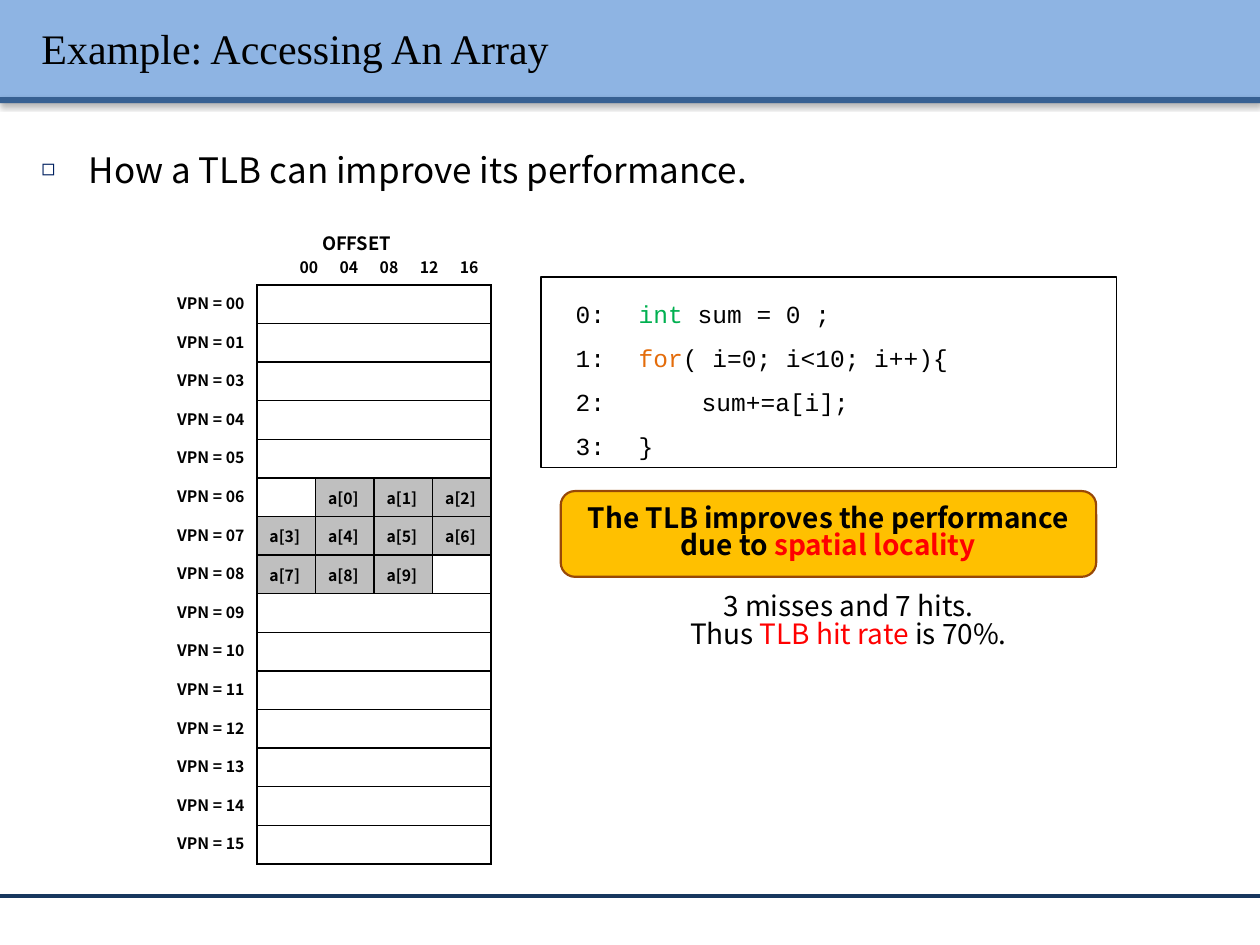
import pptx
import pptx.util
import pptx.dml.color
import pptx.enum.dml
import pptx.enum.shapes
import pptx.enum.text
import pptx.oxml
from pptx.oxml.ns import qn
from lxml import etree

Pt = pptx.util.Pt
RGB = pptx.dml.color.RGBColor
ALIGN = pptx.enum.text.PP_ALIGN
MIDDLE = pptx.enum.text.MSO_ANCHOR.MIDDLE
SHAPE = pptx.enum.shapes.MSO_SHAPE

# Colours and fonts
BLACK, WHITE = RGB(0, 0, 0), RGB(0xFF, 0xFF, 0xFF)
SKY, STEEL, NAVY = RGB(0x8E, 0xB4, 0xE3), RGB(0x37, 0x60, 0x92), RGB(0x17, 0x37, 0x5E)
GREY, AMBER, BROWN = RGB(0xBF, 0xBF, 0xBF), RGB(0xFF, 0xC0, 0), RGB(0x98, 0x48, 0x07)
GREEN, ORANGE, RED = RGB(0, 0xB0, 0x50), RGB(0xE4, 0x6C, 0x0A), RGB(0xFF, 0, 0)
SANS, SERIF, MONO = "Noto Sans CJK KR", "Times New Roman", "Courier New"

# Content: a paragraph is a list of (text, colour) runs
TITLE = "Example: Accessing An Array"
POINT = "How a TLB can improve its performance."
OFFSETS = ["00", "04", "08", "12", "16"]
PAGES = ["00", "01", "03", "04", "05", "06", "07", "08",
         "09", "10", "11", "12", "13", "14", "15"]
ARRAY_PAGES = {
    "06": ["", "a[0]", "a[1]", "a[2]"],
    "07": ["a[3]", "a[4]", "a[5]", "a[6]"],
    "08": ["a[7]", "a[8]", "a[9]", ""],
}
CODE = [
    [("0:\t", BLACK), ("int ", GREEN), ("sum = 0 ;", BLACK)],
    [("1:\t", BLACK), ("for", ORANGE), ("( i=0; i<10; i++){", BLACK)],
    [("2:\t\tsum+=a[i];", BLACK)],
    [("3:\t}", BLACK)],
]
LOCALITY = [
    [("The TLB improves the performance", BLACK)],
    [("due to ", BLACK), ("spatial locality", RED)],
]
HIT_RATE = [
    [("3 misses and 7 hits.", BLACK)],
    [("Thus ", BLACK), ("TLB hit rate ", RED), ("is 70%.", BLACK)],
]


def add_run(paragraph, text, size, font, color=BLACK, bold=False):
    run = paragraph.add_run()
    run.text = text
    run.font.size, run.font.name, run.font.bold = Pt(size), font, bold
    run.font.color.rgb = color
    return run


def write(frame, paragraphs, size, font, bold=False, align=ALIGN.LEFT, spacing=1.0):
    for i, runs in enumerate(paragraphs):
        paragraph = frame.add_paragraph() if i else frame.paragraphs[0]
        paragraph.alignment, paragraph.line_spacing = align, spacing
        for text, color in runs:
            add_run(paragraph, text, size, font, color, bold)


def add_box(kind, box, fill=None, line=None, width=1):
    shape = slide.shapes.add_shape(kind, *map(Pt, box))
    shape.shadow.inherit = False
    if fill is None:
        shape.fill.background()
    else:
        shape.fill.solid()
        shape.fill.fore_color.rgb = fill
    if line is None:
        shape.line.fill.background()
    else:
        shape.line.color.rgb, shape.line.width = line, Pt(width)
    frame = shape.text_frame
    frame.word_wrap, frame.vertical_anchor = True, MIDDLE
    return shape


def drop_shadow(effects, blur, distance, angle, alpha):
    shadow = etree.SubElement(effects, qn("a:outerShdw"), blurRad=str(Pt(blur)),
                              dist=str(Pt(distance)), dir=str(angle * 60000))
    color = etree.SubElement(shadow, qn("a:srgbClr"), val="000000")
    etree.SubElement(color, qn("a:alpha"), val=str(alpha * 1000))


def set_borders(cell, colors):
    """Colours are for left, right, top and bottom; None means no line."""
    props = cell._tc.get_or_add_tcPr()
    for i, (side, color) in enumerate(zip("LRTB", colors)):
        line = etree.Element(qn("a:ln" + side), w=str(Pt(1)))
        if color is None:
            etree.SubElement(line, qn("a:noFill"))
        else:
            fill = etree.SubElement(line, qn("a:solidFill"))
            etree.SubElement(fill, qn("a:srgbClr"), val=str(color))
        props.insert(i, line)


prs = pptx.Presentation()
prs.slide_width, prs.slide_height = Pt(720), Pt(540)
slide = prs.slides.add_slide(prs.slide_layouts[1])
tree = slide.shapes._spTree

# Header band and footer rule, behind the placeholders
for i, (top, height, color) in enumerate([(0, 55.5, SKY), (55.5, 3.5, STEEL)]):
    band = add_box(SHAPE.RECTANGLE, (0, top, 720, height), color)
    drop_shadow(band._element.spPr.find(qn("a:effectLst")), 3.1, 1.6, 90, 38)
    tree.insert(2 + i, band._element)
rule = slide.shapes.add_connector(pptx.enum.shapes.MSO_CONNECTOR.STRAIGHT,
                                  0, Pt(512), Pt(720), Pt(512))
rule.line.color.rgb, rule.line.width = NAVY, Pt(2)
etree.SubElement(rule._element.spPr, qn("a:effectLst"))

# Title
title = slide.shapes.title
title.left, title.top, title.width, title.height = map(Pt, (16.5, 4.5, 692, 46))
title.text_frame.vertical_anchor = MIDDLE
heading = title.text_frame.paragraphs[0]
heading.alignment = ALIGN.LEFT
heading_props = add_run(heading, TITLE, 24, SERIF)._r.rPr
heading_effects = etree.Element(qn("a:effectLst"))
drop_shadow(heading_effects, 0, 1, 45, 100)
heading_props.find(qn("a:solidFill")).addnext(heading_effects)

# Bulleted point
body = slide.placeholders[1]
body.left, body.top, body.width, body.height = map(Pt, (16.5, 69, 692, 433.5))
point = body.text_frame.paragraphs[0]
point.line_spacing, point.space_before = 1.5, Pt(0)
point_props = point._p.get_or_add_pPr()
point_props.set("marL", str(Pt(27)))
point_props.set("indent", str(-Pt(27)))
bullet_color = etree.SubElement(point_props, qn("a:buClr"))
etree.SubElement(bullet_color, qn("a:srgbClr"), val="002060")
etree.SubElement(point_props, qn("a:buSzPct"), val="65000")
etree.SubElement(point_props, qn("a:buChar"), char="◻")
add_run(point, POINT, 20, SANS)

# Page table
LABEL_W, SLOT_W, HEAD_H, ROW_H, SLOTS = 59, 33.5, 29.5, 22.07, 4
pages = slide.shapes.add_table(
    len(PAGES) + 1, SLOTS + 1, Pt(87.8), Pt(127.4),
    Pt(LABEL_W + SLOTS * SLOT_W), Pt(HEAD_H + len(PAGES) * ROW_H)).table
pages.first_row = pages.horz_banding = False
for i, column in enumerate(pages.columns):
    column.width = Pt(SLOT_W if i else LABEL_W)
for i, row in enumerate(pages.rows):
    row.height = Pt(ROW_H if i else HEAD_H)
    for j, cell in enumerate(row.cells):
        cell.fill.background()
        if i == 0:
            borders = (None, None, None, BLACK if j else None)
        elif j == 0:
            borders = (WHITE, BLACK, WHITE if i > 1 else None, WHITE)
        else:
            borders = (BLACK,) * 4
        set_borders(cell, borders)

pages.cell(0, 0).merge(pages.cell(0, SLOTS))
header = pages.cell(0, 0).text_frame
caption, offsets = header.paragraphs[0], header.add_paragraph()
caption.alignment = ALIGN.CENTER
caption._p.get_or_add_pPr().set("marL", str(Pt(39)))
add_run(caption, "OFFSET", 10.5, SANS, bold=True)
tabs = etree.SubElement(offsets._p.get_or_add_pPr(), qn("a:tabLst"))
for i in range(len(OFFSETS)):
    etree.SubElement(tabs, qn("a:tab"), pos=str(Pt(81.5 + 22.9 * i)), algn="ctr")
add_run(offsets, "".join("\t" + offset for offset in OFFSETS), 9, SANS, bold=True)

for i, page in enumerate(PAGES, 1):
    label = pages.cell(i, 0).text_frame.paragraphs[0]
    label.alignment = ALIGN.RIGHT
    add_run(label, "VPN = " + page, 9, SANS, bold=True)
    if page not in ARRAY_PAGES:
        pages.cell(i, 1).merge(pages.cell(i, SLOTS))
    for j, element in enumerate(ARRAY_PAGES.get(page, [""] * SLOTS), 1):
        cell = pages.cell(i, j)
        paragraph = cell.text_frame.paragraphs[0]
        if element:
            cell.vertical_anchor = MIDDLE
            cell.fill.solid()
            cell.fill.fore_color.rgb = GREY
            add_run(paragraph, element, 9, SANS, bold=True)
        else:  # keeps empty rows from growing
            etree.SubElement(paragraph._p, qn("a:endParaRPr"), sz="900")

# Code listing
code = add_box(SHAPE.RECTANGLE, (309, 158.4, 329, 108.7), WHITE, BLACK)
code.text_frame.margin_left = Pt(20)
write(code.text_frame, CODE, 14, MONO, spacing=1.5)

# Conclusions
for lines, box, fill, line, bold in [
        (HIT_RATE, (380, 331.2, 209.5, 49), None, None, False),
        (LOCALITY, (320.4, 280.6, 306, 49), AMBER, BROWN, True)]:
    conclusion = add_box(SHAPE.ROUNDED_RECTANGLE, box, fill, line, 1.25)
    write(conclusion.text_frame, lines, 16, SANS, bold, ALIGN.CENTER, 0.82)

prs.save("out.pptx")
